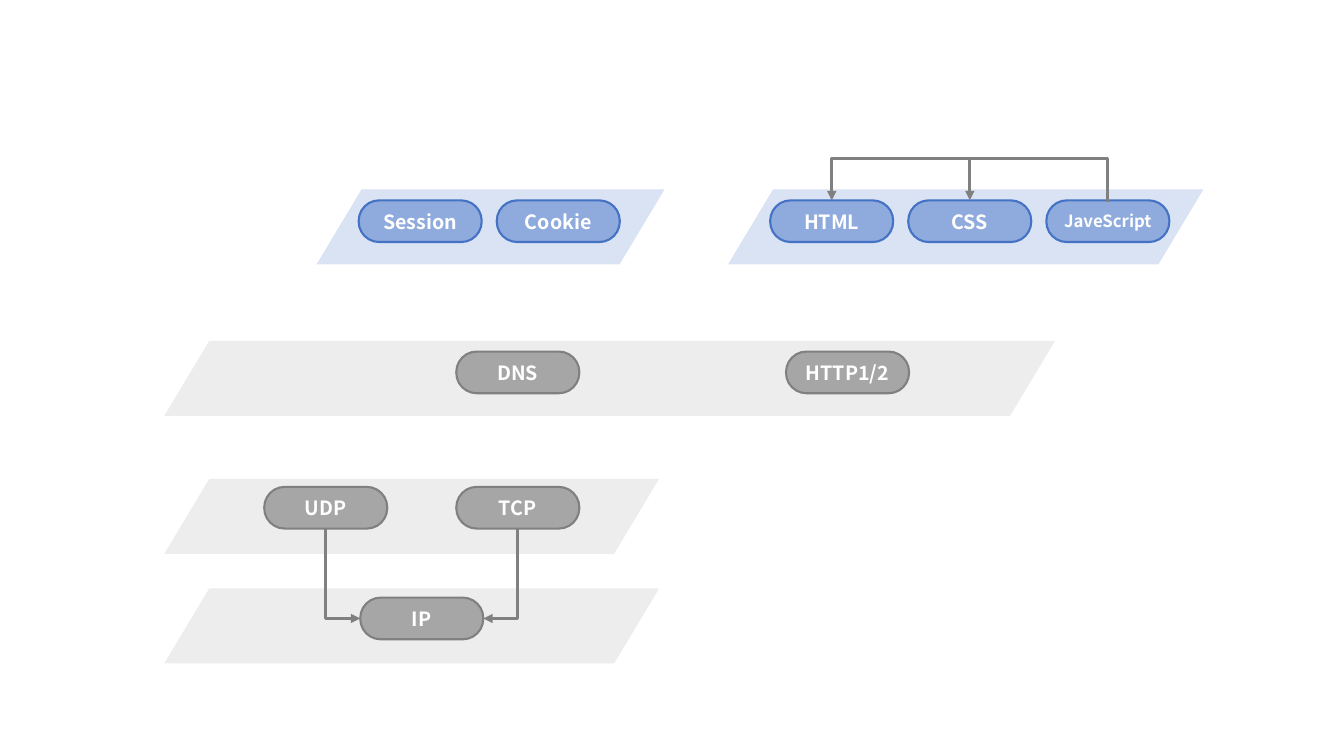
from dataclasses import dataclass

from lxml.etree import SubElement
from pptx import Presentation
from pptx.dml.color import RGBColor
from pptx.enum.shapes import MSO_CONNECTOR, MSO_SHAPE
from pptx.enum.text import MSO_ANCHOR, PP_ALIGN
from pptx.oxml.ns import qn
from pptx.shapes.autoshape import Shape
from pptx.shapes.shapetree import SlideShapes
from pptx.util import Cm, Pt

FONT = "Noto Sans CJK JP"
ARROW_COLOR = "808080"
BAND_HEIGHT = 1.89
PILL_WIDTH, PILL_HEIGHT = 3.1, 1.05
PILL_STEP = 3.48
SCRIPT_OVERLAP, SCRIPT_RISE = 0.03, 1.09


@dataclass(frozen=True)
class Theme:
    band: str
    pill: str
    outline: str


GRAY = Theme("EDEDED", "A6A6A6", "808080")
BLUE = Theme("DAE3F3", "8FAADC", "4472C4")


@dataclass(frozen=True)
class Band:
    left: float
    top: float
    width: float
    theme: Theme


@dataclass(frozen=True)
class Pill:
    label: str
    left: float
    top: float
    theme: Theme
    size: int = 14

    @property
    def center(self) -> float:
        return self.left + PILL_WIDTH / 2

    @property
    def middle(self) -> float:
        return self.top + PILL_HEIGHT / 2

    @property
    def right(self) -> float:
        return self.left + PILL_WIDTH

    @property
    def bottom(self) -> float:
        return self.top + PILL_HEIGHT


@dataclass(frozen=True)
class Elbow:
    """A bent arrow that leaves its start vertically, so its frame is turned a quarter."""

    start: tuple[float, float]
    end: tuple[float, float]
    rotation: int
    flip: str = ""
    preset: str = "bentConnector2"
    bend: float | None = None


BANDS = [
    Band(4.14, 14.83, 12.47, GRAY),
    Band(4.14, 12.07, 12.47, GRAY),
    Band(4.14, 8.59, 22.45, GRAY),
    Band(7.98, 4.77, 8.77, BLUE),
    Band(18.35, 4.77, 11.98, BLUE),
]

HTTP = Pill("HTTP1/2", 19.81, 8.86, GRAY)
DNS = Pill("DNS", 11.5, 8.86, GRAY)
TCP = Pill("TCP", 11.5, 12.27, GRAY)
UDP = Pill("UDP", 6.66, 12.27, GRAY)
IP = Pill("IP", 9.08, 15.06, GRAY)
SESSION = Pill("Session", 9.04, 5.05, BLUE)
COOKIE = Pill("Cookie", SESSION.left + PILL_STEP, SESSION.top, BLUE)
HTML = Pill("HTML", 19.41, SESSION.top, BLUE)
CSS = Pill("CSS", HTML.left + PILL_STEP, HTML.top, BLUE)
SCRIPT = Pill("JaveScript", HTML.left + 2 * PILL_STEP, HTML.top, BLUE, 12)
PILLS = [HTTP, DNS, TCP, UDP, IP, SESSION, COOKIE, CSS, HTML, SCRIPT]

ELBOWS = [
    Elbow((TCP.center, TCP.bottom), (IP.right, IP.middle), 90),
    Elbow((UDP.center, UDP.bottom), (IP.left, IP.middle), 270, "flipH"),
] + [
    Elbow(
        (SCRIPT.center, SCRIPT.top + SCRIPT_OVERLAP),
        (target.center, target.top),
        270,
        "flipV",
        "bentConnector3",
        SCRIPT_RISE / SCRIPT_OVERLAP,
    )
    for target in (CSS, HTML)
]


def rgb(color: str) -> RGBColor:
    return RGBColor.from_string(color)


def add_filled(shapes: SlideShapes, kind: MSO_SHAPE, left: float, top: float,
               width: float, height: float, fill: str, adjustment: float) -> Shape:
    shape = shapes.add_shape(kind, Cm(left), Cm(top), Cm(width), Cm(height))
    shape.shadow.inherit = False
    shape.adjustments[0] = adjustment
    shape.fill.solid()
    shape.fill.fore_color.rgb = rgb(fill)
    return shape


def draw_band(shapes: SlideShapes, band: Band) -> None:
    shape = add_filled(shapes, MSO_SHAPE.PARALLELOGRAM, band.left, band.top,
                       band.width, BAND_HEIGHT, band.theme.band, 0.6)
    shape.line.fill.background()


def draw_pill(shapes: SlideShapes, pill: Pill) -> None:
    shape = add_filled(shapes, MSO_SHAPE.ROUNDED_RECTANGLE, pill.left, pill.top,
                       PILL_WIDTH, PILL_HEIGHT, pill.theme.pill, 0.49)
    shape.line.color.rgb = rgb(pill.theme.outline)
    shape.line.width = Pt(1.5)
    shape.text_frame.text = pill.label
    shape.text_frame.vertical_anchor = MSO_ANCHOR.MIDDLE
    paragraph = shape.text_frame.paragraphs[0]
    paragraph.alignment = PP_ALIGN.CENTER
    font = paragraph.runs[0].font
    font.name = FONT
    font.size = Pt(pill.size)
    font.bold = True
    font.color.rgb = rgb("FFFFFF")


def draw_elbow(shapes: SlideShapes, elbow: Elbow) -> None:
    (x1, y1), (x2, y2) = elbow.start, elbow.end
    width, height = abs(y2 - y1), abs(x2 - x1)
    left, top = (x1 + x2 - width) / 2, (y1 + y2 - height) / 2
    arrow = shapes.add_connector(MSO_CONNECTOR.ELBOW, Cm(left), Cm(top),
                                 Cm(left + width), Cm(top + height))
    arrow.line.color.rgb = rgb(ARROW_COLOR)
    arrow.line.width = Pt(2.25)

    properties = arrow.element.spPr
    frame = properties.find(qn("a:xfrm"))
    frame.set("rot", str(elbow.rotation * 60000))
    if elbow.flip:
        frame.set(elbow.flip, "1")
    geometry = properties.find(qn("a:prstGeom"))
    geometry.set("prst", elbow.preset)
    if elbow.bend is not None:
        guide = SubElement(geometry.find(qn("a:avLst")), qn("a:gd"))
        guide.set("name", "adj1")
        guide.set("fmla", f"val {round(elbow.bend * 100000)}")
    SubElement(properties.find(qn("a:ln")), qn("a:tailEnd")).set("type", "triangle")
    SubElement(properties, qn("a:effectLst"))


def main() -> None:
    presentation = Presentation()
    presentation.slide_width = Cm(33.87)
    presentation.slide_height = Cm(19.05)
    shapes = presentation.slides.add_slide(presentation.slide_layouts[6]).shapes
    for band in BANDS:
        draw_band(shapes, band)
    for pill in PILLS:
        draw_pill(shapes, pill)
    for elbow in ELBOWS:
        draw_elbow(shapes, elbow)
    presentation.save("out.pptx")


if __name__ == "__main__":
    main()
